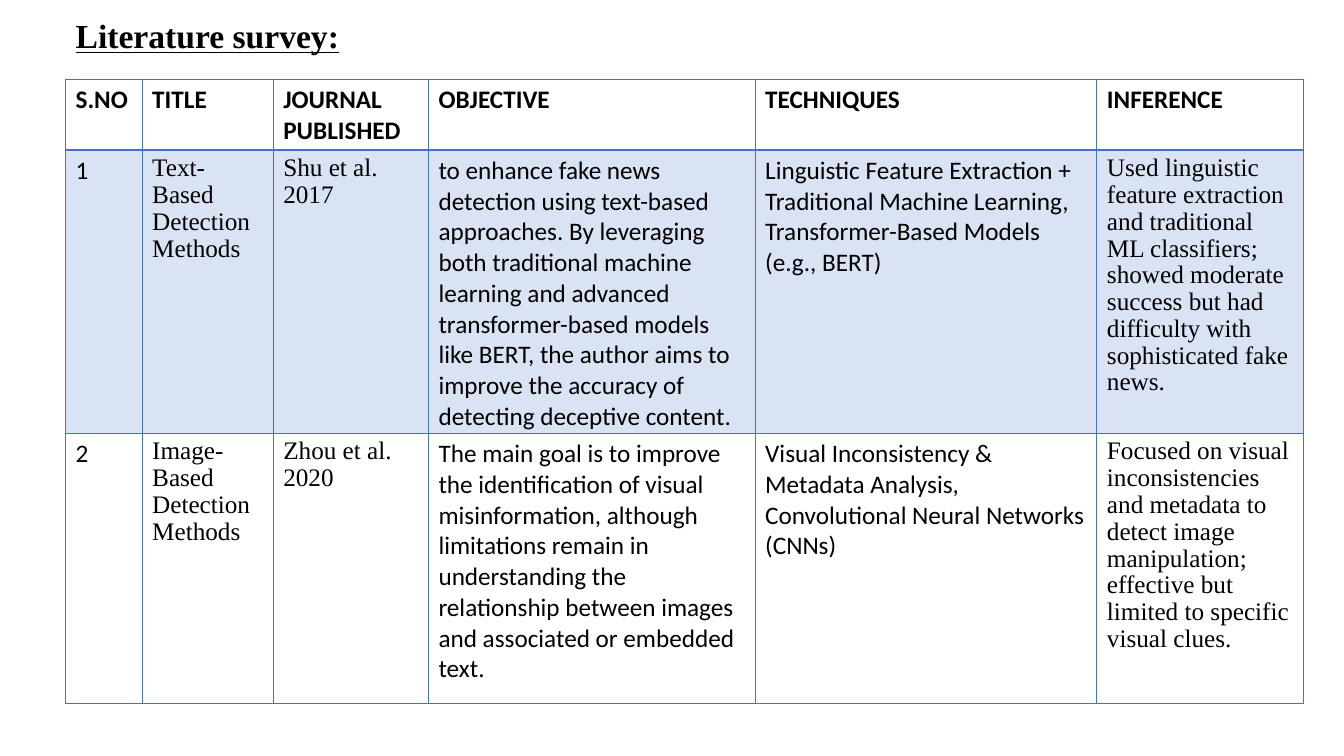
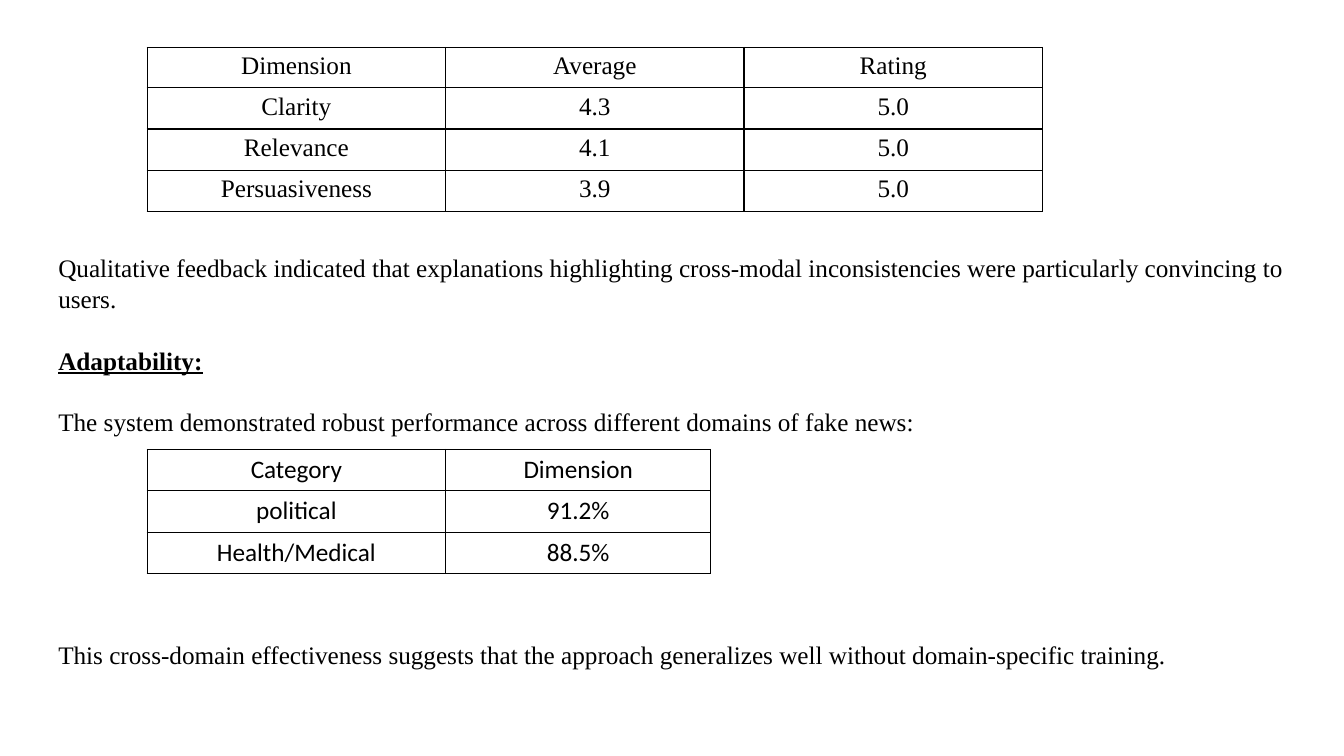
from dataclasses import dataclass

from lxml import etree
from pptx import Presentation
from pptx.dml.color import RGBColor
from pptx.enum.text import MSO_ANCHOR, MSO_AUTO_SIZE, PP_ALIGN
from pptx.oxml.ns import qn
from pptx.util import Emu, Pt

LEFT, CENTER = PP_ALIGN.LEFT, PP_ALIGN.CENTER
TOP = MSO_ANCHOR.TOP
NO_FIT = MSO_AUTO_SIZE.NONE
TITLE_ONLY, BLANK = 5, 6


@dataclass(frozen=True)
class Theme:
    ink: str = "000000"
    blue: str = "4472C4"
    band: str = "DAE3F3"
    serif: str = "Times New Roman"
    sans: str = "Calibri"
    title: int = 24
    body: int = 18
    border: int = 1
    rule: int = 2


T = Theme()


def px(n):
    """100 px to the inch."""
    return Emu(n * 9144)


# Text
def write(tf, text, font=T.serif, size=T.body, bold=False, underline=False,
          align=LEFT, spacing=None, before=None, add=False):
    """Fill a text frame, one paragraph per line; add=True appends."""
    for i, line in enumerate(text.split("\n")):
        p = tf.add_paragraph() if add or i else tf.paragraphs[0]
        p.alignment = align
        if spacing:
            p.line_spacing = spacing
        if before is not None:
            p.space_before = Pt(before)
        r = p.add_run()
        r.text = line
        r.font.name, r.font.size = font, Pt(size)
        r.font.bold, r.font.underline = bold, underline
        r.font.color.rgb = RGBColor.from_string(T.ink)


def add_text_box(s, box, wrap=True):
    tf = s.shapes.add_textbox(*map(px, box)).text_frame
    tf.word_wrap = wrap
    return tf


def set_title(s, text, box):
    sp = s.shapes.title
    sp.left, sp.top, sp.width, sp.height = map(px, box)
    tf = sp.text_frame
    tf.auto_size, tf.word_wrap, tf.vertical_anchor = NO_FIT, False, TOP
    write(tf, text, size=T.title, bold=True, underline=True)


# Tables
def set_border(cell, side, color, width):
    tcPr = cell._tc.get_or_add_tcPr()
    ln = etree.SubElement(tcPr, qn("a:ln" + side), w=str(Pt(width)))
    fill = etree.SubElement(ln, qn("a:solidFill"))
    etree.SubElement(fill, qn("a:srgbClr"), val=color)


def add_grid(s, left, top, cols, rows, data, border, style, rule=T.border):
    """Draw a table; style(row, col) gives the text format and cell fill."""
    box = map(px, (left, top, sum(cols), sum(rows)))
    table = s.shapes.add_table(len(rows), len(cols), *box).table
    table.first_row = table.horz_banding = False
    for col, width in zip(table.columns, cols):
        col.width = px(width)
    for row, height in zip(table.rows, rows):
        row.height = px(height)
    for i, line in enumerate(data):
        for j, text in enumerate(line):
            cell = table.cell(i, j)
            fmt, fill = style(i, j)
            write(cell.text_frame, text, **fmt)
            cell.margin_bottom = 0
            for side in "LRTB":
                under_header = (side, i) in (("B", 0), ("T", 1))
                set_border(cell, side, border, rule if under_header else T.border)
            if fill:
                cell.fill.solid()
                cell.fill.fore_color.rgb = RGBColor.from_string(fill)
            else:
                cell.fill.background()


def survey_style(i, j):
    serif = i > 0 and j in (1, 2, 5)
    fmt = {"font": T.serif if serif else T.sans, "bold": i == 0,
           "spacing": 0.96 if serif else None}
    return fmt, T.band if i == 1 else None


def centred(font):
    return lambda i, j: ({"font": font, "align": CENTER}, None)


# Slides
SURVEY = [
    ["S.NO", "TITLE", "JOURNAL PUBLISHED", "OBJECTIVE", "TECHNIQUES", "INFERENCE"],
    ["1", "Text-Based Detection Methods", "Shu et al. 2017",
     "to enhance fake news detection using text-based approaches. By leveraging "
     "both traditional machine learning and advanced transformer-based models "
     "like BERT, the author aims to improve the accuracy of detecting deceptive "
     "content.",
     "Linguistic Feature Extraction + Traditional Machine Learning,\n"
     "Transformer-Based Models (e.g., BERT)",
     "Used linguistic feature extraction and traditional ML classifiers; showed "
     "moderate success but had difficulty with sophisticated fake news."],
    ["2", "Image-Based Detection Methods", "Zhou et al. 2020",
     "The main goal is to improve the identification of visual misinformation, "
     "although limitations remain in understanding the relationship between "
     "images and associated or embedded text.",
     "Visual Inconsistency & Metadata Analysis, Convolutional Neural Networks "
     "(CNNs)",
     "Focused on visual inconsistencies and metadata to detect image "
     "manipulation; effective but limited to specific visual clues."],
]
RATINGS = [
    ["Dimension", "Average", "Rating"],
    ["Clarity", "4.3", "5.0"],
    ["Relevance", "4.1", "5.0"],
    ["Persuasiveness", "3.9", "5.0"],
]
DOMAINS = [
    ["Category", "Dimension"],
    ["political", "91.2%"],
    ["Health/Medical", "88.5%"],
]


def survey_slide(prs):
    s = prs.slides.add_slide(prs.slide_layouts[TITLE_ONLY])
    set_title(s, "Literature survey:", (65, 10, 284, 91))
    add_grid(s, 65, 79, [76, 130, 154, 324, 339, 205], [70, 281, 268],
             SURVEY, T.blue, survey_style, rule=T.rule)


def results_slide(prs):
    s = prs.slides.add_slide(prs.slide_layouts[BLANK])
    add_grid(s, 146, 47, [296] * 3, [40] + [41] * 3, RATINGS, T.ink,
             centred(T.serif))

    tf = add_text_box(s, (48, 244, 1237, 222))
    body = {"spacing": 1.04}
    later = {**body, "before": 21.5, "add": True}
    write(tf, "Qualitative feedback indicated that explanations highlighting "
          "cross-modal inconsistencies were particularly convincing to users.",
          **body)
    write(tf, "Adaptability:", bold=True, underline=True, **later)
    write(tf, "The system demonstrated robust performance across different "
          "domains of fake news:", **later)

    add_grid(s, 146, 446, [296, 263], [41] * 3, DOMAINS, T.ink, centred(T.sans))
    tf = add_text_box(s, (48, 628, 1130, 71), wrap=False)
    write(tf, "This cross-domain effectiveness suggests that the approach "
          "generalizes well without domain-specific training.", **body)


def main():
    prs = Presentation()
    prs.slide_width, prs.slide_height = px(1333), px(750)
    survey_slide(prs)
    results_slide(prs)
    prs.save("out.pptx")


if __name__ == "__main__":
    main()
